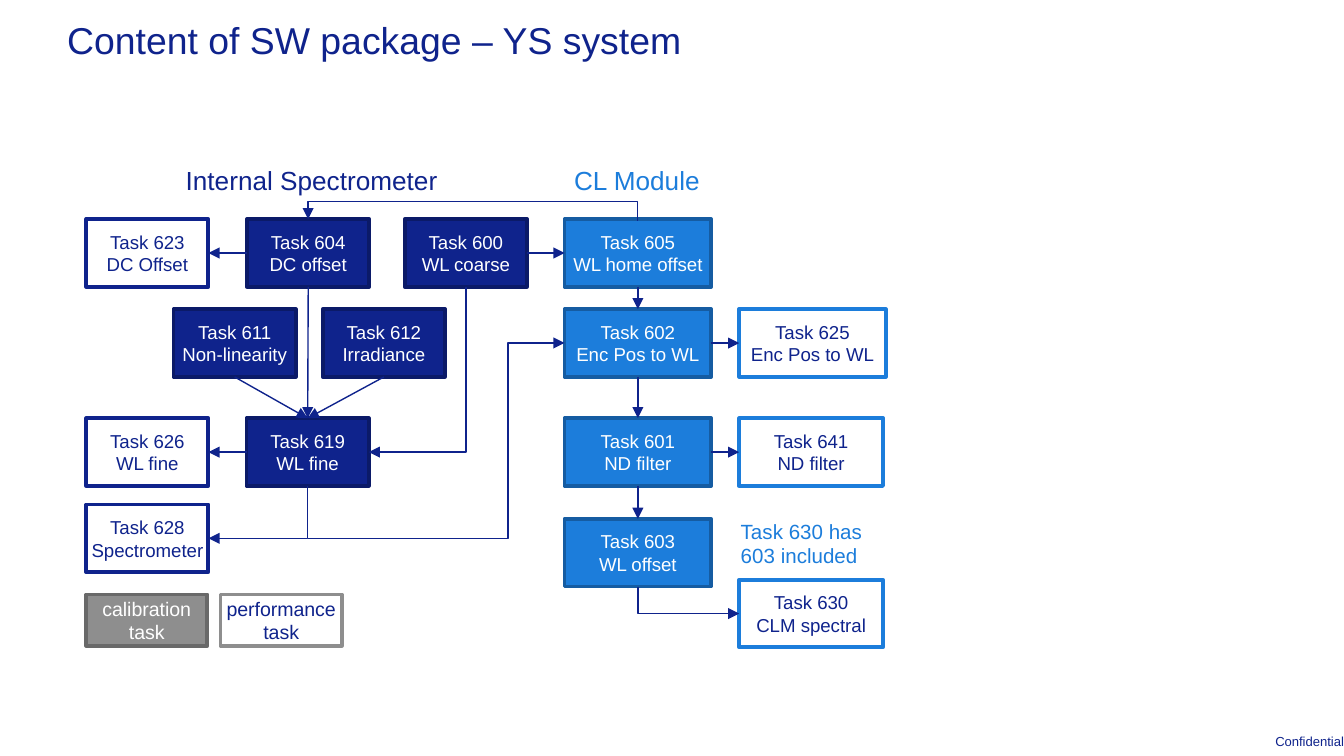
"""Build the task flow slide of the YS system software package."""
from typing import NamedTuple, Optional

from lxml.etree import SubElement
from pptx import Presentation
from pptx.dml.color import RGBColor
from pptx.enum.shapes import MSO_CONNECTOR as Link, MSO_SHAPE as Preset
from pptx.enum.text import MSO_ANCHOR as Anchor, MSO_AUTO_SIZE as Fit, PP_ALIGN as Align
from pptx.oxml.ns import qn
from pptx.util import Cm, Pt

COLORS = {
    "navy": "0F238C", "navy_edge": "0B1A68", "blue": "1C7DDB", "blue_edge": "155CA2",
    "gray": "8E8E8E", "gray_edge": "696969", "white": "FFFFFF",
}
STYLES = {
    "navy": ("navy", "navy_edge", "white"),
    "navy_outline": ("white", "navy", "navy"),
    "blue": ("blue", "blue_edge", "white"),
    "blue_outline": ("white", "blue", "navy"),
    "gray": ("gray", "gray_edge", "white"),
    "gray_outline": ("white", "gray", "navy"),
}
ROWS = {"top": 4.14, "second": 5.84, "third": 7.9, "spectrometer": 9.53,
        "offset": 9.8, "spectral": 10.95, "legend": 11.23}
TASK_HEIGHT = 1.28


class Point(NamedTuple):
    x: float
    y: float


class Box(NamedTuple):
    text: str
    left: float
    row: str
    width: float
    style: str
    height: float = TASK_HEIGHT
    size: float = 10

    def side(self, name: str) -> Point:
        fx, fy = {"left": (0, 0.5), "right": (1, 0.5), "top": (0.5, 0), "bottom": (0.5, 1)}[name]
        return Point(self.left + fx * self.width, ROWS[self.row] + fy * self.height)


class Label(NamedTuple):
    text: str
    left: float
    top: float
    width: float
    height: float
    size: float
    color: str
    wrap: bool = False
    align: Align = Align.LEFT
    anchor: Anchor = Anchor.TOP


class Elbow(NamedTuple):
    start: Point
    end: Point
    vertical: bool = True
    bend: Optional[float] = None


TASKS = {
    605: Box("WL home offset", 10.67, "top", 2.77, "blue"),
    602: Box("Enc Pos to WL", 10.67, "second", 2.77, "blue"),
    601: Box("ND filter", 10.67, "third", 2.77, "blue"),
    603: Box("WL offset", 10.67, "offset", 2.77, "blue"),
    625: Box("Enc Pos to WL", 13.97, "second", 2.77, "blue_outline"),
    641: Box("ND filter", 13.97, "third", 2.72, "blue_outline"),
    630: Box("CLM spectral", 13.97, "spectral", 2.72, "blue_outline"),
    600: Box("WL coarse", 7.65, "top", 2.31, "navy"),
    604: Box("DC offset", 4.67, "top", 2.31, "navy"),
    611: Box("Non-linearity", 3.28, "second", 2.31, "navy"),
    612: Box("Irradiance", 6.1, "second", 2.31, "navy"),
    619: Box("WL fine", 4.66, "third", 2.31, "navy"),
    623: Box("DC Offset", 1.63, "top", 2.31, "navy_outline"),
    626: Box("WL fine", 1.63, "third", 2.31, "navy_outline"),
    628: Box("Spectrometer", 1.63, "spectrometer", 2.31, "navy_outline"),
}
LEGEND = [
    Box("calibration task", 1.63, "legend", 2.29, "gray", 0.97, 10.5),
    Box("performance task", 4.17, "legend", 2.29, "gray_outline", 0.97, 10.5),
]
LABELS = [
    Label("Internal Spectrometer", 3.51, 3.1, 4.78, 0.61, 14, "navy"),
    Label("CL Module", 10.85, 3.1, 2.39, 0.61, 14, "blue"),
    Label("Task 630 has 603 included", 14, 9.8, 3, 0.94, 11, "blue", True),
    Label("Confidential", 23.47, 13.72, 1.93, 0.56, 7, "navy", True, Align.RIGHT, Anchor.MIDDLE),
]
STRAIGHT = [
    (605, "bottom", 602, "top"), (602, "bottom", 601, "top"), (601, "bottom", 603, "top"),
    (602, "right", 625, "left"), (601, "right", 641, "left"), (600, "right", 605, "left"),
    (604, "left", 623, "right"), (619, "left", 626, "right"),
    (611, "bottom", 619, "top"), (612, "bottom", 619, "top"), (604, "bottom", 619, "top"),
]


def rgb(name: str) -> RGBColor:
    return RGBColor.from_string(COLORS[name])


def write(frame, lines: list, size: float, color: str, align: Align, anchor: Anchor, wrap: bool) -> None:
    settings = {"margin_left": 0, "margin_right": 0, "margin_top": 0, "margin_bottom": 0,
                "auto_size": Fit.NONE, "word_wrap": wrap, "vertical_anchor": anchor}
    for key, value in settings.items():
        setattr(frame, key, value)
    for index, line in enumerate(lines):
        para = frame.add_paragraph() if index else frame.paragraphs[0]
        para.alignment = align
        span = para.add_run()
        span.text = line
        for key, value in {"name": "Arial", "size": Pt(size)}.items():
            setattr(span.font, key, value)
        span.font.color.rgb = rgb(color)


def draw_box(page, box: Box, lines: list) -> None:
    fill, edge, ink = STYLES[box.style]
    shape = page.shapes.add_shape(Preset.RECTANGLE, Cm(box.left), Cm(ROWS[box.row]),
                                  Cm(box.width), Cm(box.height))
    shape.shadow.inherit = False
    shape.fill.solid()
    shape.fill.fore_color.rgb = rgb(fill)
    shape.line.color.rgb = rgb(edge)
    shape.line.width = Pt(2)
    write(shape.text_frame, lines, box.size, ink, Align.CENTER, Anchor.MIDDLE, True)


def draw_label(page, label: Label) -> None:
    shape = page.shapes.add_textbox(Cm(label.left), Cm(label.top), Cm(label.width), Cm(label.height))
    write(shape.text_frame, [label.text], label.size, label.color, label.align, label.anchor, label.wrap)


def draw_arrow(page, kind: Link, start: Point, end: Point):
    arrow = page.shapes.add_connector(kind, Cm(start.x), Cm(start.y), Cm(end.x), Cm(end.y))
    arrow.line.color.rgb = rgb("navy")
    arrow.line.width = Pt(0.75)
    SubElement(arrow.line._get_or_add_ln(), qn("a:tailEnd"), type="triangle")
    SubElement(arrow._element.spPr, qn("a:effectLst"))
    return arrow


def draw_elbow(page, elbow: Elbow) -> None:
    start, end = elbow.start, elbow.end
    dx, dy = end.x - start.x, end.y - start.y
    width, height = (abs(dy), abs(dx)) if elbow.vertical else (abs(dx), abs(dy))
    left, top = (start.x + end.x - width) / 2, (start.y + end.y - height) / 2
    arrow = draw_arrow(page, Link.ELBOW, Point(left, top), Point(left + width, top + height))
    frame = arrow._element.spPr.find(qn("a:xfrm"))
    if elbow.vertical:
        frame.set("rot", str(90 * 60000))
    flips = {"flipH": dy < 0, "flipV": dx > 0} if elbow.vertical else {"flipH": dx < 0, "flipV": dy < 0}
    for key, flipped in flips.items():
        frame.set(key, str(int(flipped)))
    geometry = arrow._element.spPr.find(qn("a:prstGeom"))
    if elbow.bend is None:
        geometry.set("prst", "bentConnector2")
        return
    ratio = (elbow.bend - start.y) / dy if elbow.vertical else (elbow.bend - start.x) / dx
    SubElement(geometry.find(qn("a:avLst")), qn("a:gd"), name="adj1", fmla=f"val {round(ratio * 100000)}")


def main() -> None:
    deck = Presentation()
    deck.slide_width, deck.slide_height = Cm(25.4), Cm(14.28)
    page = deck.slides.add_slide(deck.slide_layouts[5])
    title = page.shapes.title
    for key, value in {"left": 1.27, "top": 0.3, "width": 21.13, "height": 0.91}.items():
        setattr(title, key, Cm(value))
    write(title.text_frame, ["Content of SW package – YS system"], 20, "navy",
          Align.LEFT, Anchor.MIDDLE, True)
    for number, box in TASKS.items():
        draw_box(page, box, [f"Task {number}", box.text])
    for box in LEGEND:
        draw_box(page, box, [box.text])
    for label in LABELS:
        draw_label(page, label)
    for source, source_side, target, target_side in STRAIGHT:
        draw_arrow(page, Link.STRAIGHT, TASKS[source].side(source_side), TASKS[target].side(target_side))

    spectrometer = TASKS[628].side("right")
    home = TASKS[605].side("top")
    elbows = [
        Elbow(TASKS[603].side("bottom"), TASKS[630].side("left")),
        Elbow(TASKS[600].side("bottom"), TASKS[619].side("right")),
        Elbow(TASKS[619].side("bottom"), spectrometer),
        Elbow(Point(TASKS[619].side("bottom").x, spectrometer.y), TASKS[602].side("left"), False, 9.6),
        Elbow(Point(home.x, home.y + 0.03), TASKS[604].side("top"), True, 3.8),
    ]
    for elbow in elbows:
        draw_elbow(page, elbow)
    deck.save("out.pptx")


if __name__ == "__main__":
    main()
